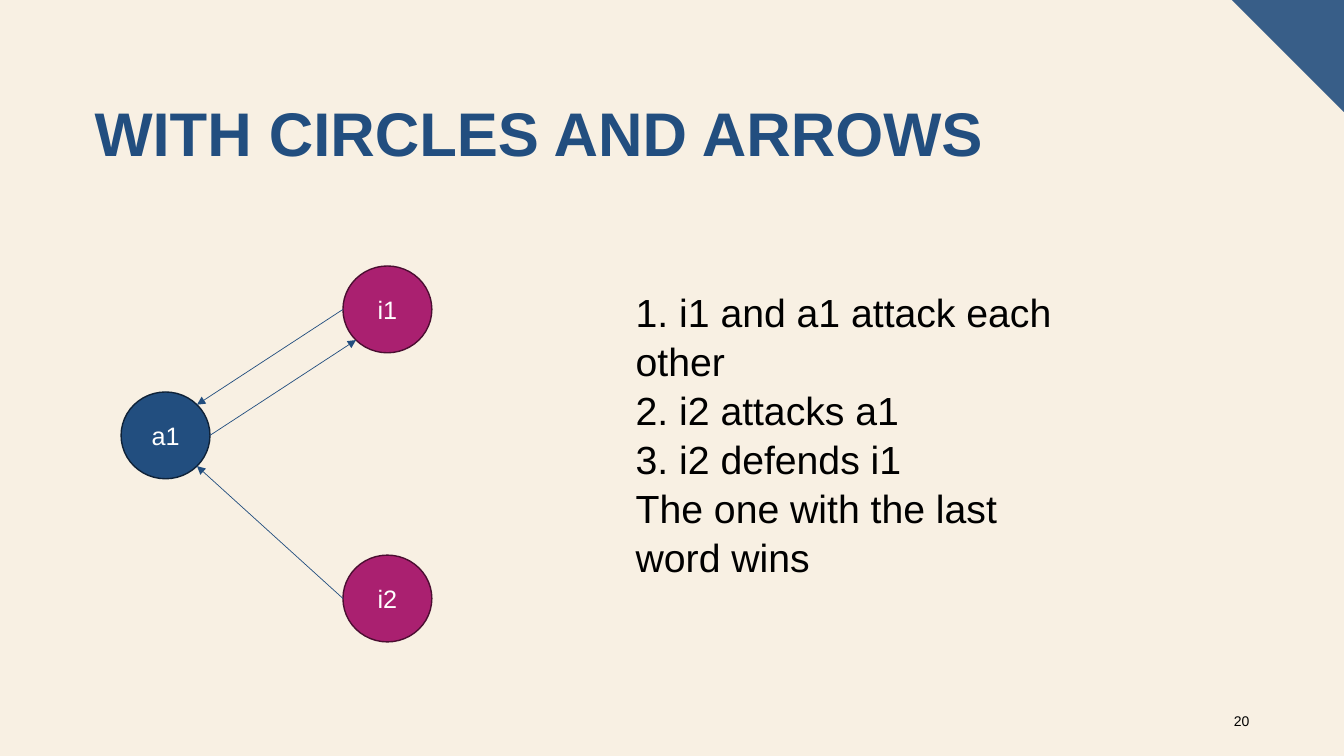
from dataclasses import dataclass
from math import cos, radians, sin

from lxml import etree
from pptx import Presentation
from pptx.dml.color import RGBColor
from pptx.enum import shapes, text
from pptx.oxml import ns
from pptx.util import Pt


@dataclass(frozen=True)
class Theme:
    font: str = "Arial"
    background: str = "F8F0E3"
    corner: str = "385E88"
    navy: str = "224E7F"
    navy_edge: str = "0F2238"
    magenta: str = "AA2070"
    magenta_edge: str = "4B0E31"
    black: str = "000000"
    white: str = "FFFFFF"
    title_size: float = 44
    body_size: float = 28
    node_size: float = 18
    number_size: float = 10


@dataclass(frozen=True)
class Node:
    label: str
    left: float
    top: float
    fill: str
    edge: str
    width: float = 63.5
    height: float = 62

    def rim(self, angle: float) -> tuple[float, float]:
        turn = radians(angle)
        return (
            self.left + self.width / 2 * (1 + cos(turn)),
            self.top + self.height / 2 * (1 + sin(turn)),
        )


@dataclass(frozen=True)
class Attack:
    source: str
    source_angle: float
    target: str
    target_angle: float


@dataclass(frozen=True)
class TextBlock:
    lines: tuple[str, ...]
    left: float
    top: float
    width: float
    height: float
    size: float
    color: str
    bold: bool = False
    align: text.PP_ALIGN = text.PP_ALIGN.LEFT
    anchor: text.MSO_ANCHOR = text.MSO_ANCHOR.TOP
    spacing: float = 1.0


THEME = Theme()

NODES = (
    Node("a1", 86.5, 280, THEME.navy, THEME.navy_edge),
    Node("i1", 245, 190, THEME.magenta, THEME.magenta_edge),
    Node("i2", 245, 396.5, THEME.magenta, THEME.magenta_edge),
)

ATTACKS = (
    Attack("a1", 0, "i1", 135),
    Attack("i1", 180, "a1", -45),
    Attack("i2", 180, "a1", 45),
)

TEXT_BLOCKS = (
    TextBlock(("WITH CIRCLES AND ARROWS",), 60.5, 70.5, 839.5, 104.5,
              THEME.title_size, THEME.navy, bold=True, spacing=0.9),
    TextBlock(("20",), 863.5, 500.5, 36, 29, THEME.number_size, THEME.black,
              align=text.PP_ALIGN.RIGHT, anchor=text.MSO_ANCHOR.MIDDLE),
    TextBlock(
        (
            "1. i1 and a1 attack each other",
            "2. i2 attacks a1",
            "3. i2 defends i1",
            "The one with the last word wins",
        ),
        447, 201, 315.5, 211, THEME.body_size, THEME.black, spacing=1.04),
)


def rgb(color: str) -> RGBColor:
    return RGBColor.from_string(color)


def apply(target, values: dict) -> None:
    for name, value in values.items():
        setattr(target, name, value)


def paint(shape, fill: str) -> None:
    shape.shadow.inherit = False
    shape.fill.solid()
    shape.fill.fore_color.rgb = rgb(fill)


def write(para, words: str, size: float, color: str, bold: bool = False) -> None:
    span = para.add_run()
    span.text = words
    apply(span.font, {"name": THEME.font, "size": Pt(size), "bold": bold})
    span.font.color.rgb = rgb(color)


def draw_corner(page) -> None:
    builder = page.shapes.build_freeform(Pt(880), Pt(0))
    builder.add_line_segments([(Pt(960), Pt(0)), (Pt(960), Pt(80))], close=True)
    corner = builder.convert_to_shape()
    paint(corner, THEME.corner)
    corner.line.fill.background()


def draw_text(page, block: TextBlock) -> None:
    box = page.shapes.add_textbox(
        Pt(block.left), Pt(block.top), Pt(block.width), Pt(block.height))
    frame = box.text_frame
    apply(frame, {"word_wrap": True, "vertical_anchor": block.anchor})
    for index, line in enumerate(block.lines):
        para = frame.add_paragraph() if index else frame.paragraphs[0]
        apply(para, {"alignment": block.align, "line_spacing": block.spacing})
        write(para, line, block.size, block.color, block.bold)


def draw_node(page, node: Node) -> None:
    circle = page.shapes.add_shape(
        shapes.MSO_SHAPE.OVAL,
        Pt(node.left), Pt(node.top), Pt(node.width), Pt(node.height))
    paint(circle, node.fill)
    circle.line.color.rgb = rgb(node.edge)
    circle.line.width = Pt(1)
    circle.text_frame.vertical_anchor = text.MSO_ANCHOR.MIDDLE
    para = circle.text_frame.paragraphs[0]
    para.alignment = text.PP_ALIGN.CENTER
    write(para, node.label, THEME.node_size, THEME.white)


def draw_attack(page, attack: Attack, nodes: dict[str, Node]) -> None:
    start = nodes[attack.source].rim(attack.source_angle)
    end = nodes[attack.target].rim(attack.target_angle)
    arrow = page.shapes.add_connector(
        shapes.MSO_CONNECTOR.STRAIGHT, *(Pt(value) for value in start + end))
    arrow.line.color.rgb = rgb(THEME.navy)
    arrow.line.width = Pt(0.5)
    outline = arrow.line._get_or_add_ln()
    etree.SubElement(outline, ns.qn("a:tailEnd"), type="triangle")
    etree.SubElement(arrow._element.spPr, ns.qn("a:effectLst"))


def main() -> None:
    deck = Presentation()
    apply(deck, {"slide_width": Pt(960), "slide_height": Pt(540)})
    page = deck.slides.add_slide(deck.slide_layouts[6])
    page.background.fill.solid()
    page.background.fill.fore_color.rgb = rgb(THEME.background)
    draw_corner(page)
    for node in NODES:
        draw_node(page, node)
    nodes = {node.label: node for node in NODES}
    for attack in ATTACKS:
        draw_attack(page, attack, nodes)
    for block in TEXT_BLOCKS:
        draw_text(page, block)
    deck.save("out.pptx")


if __name__ == "__main__":
    main()
